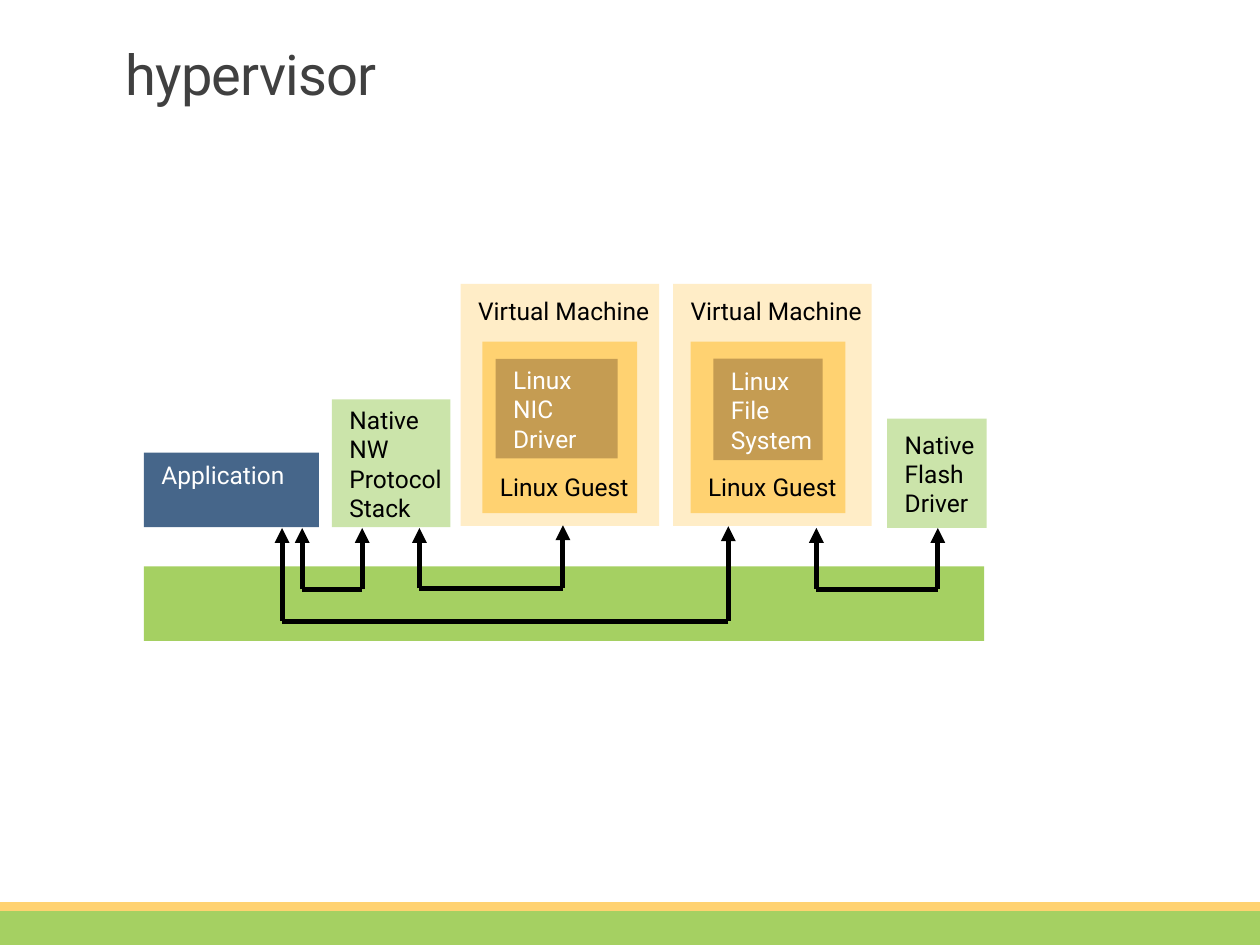
from dataclasses import dataclass

from lxml import etree
from pptx import Presentation
from pptx.dml.color import RGBColor
from pptx.enum import shapes, text
from pptx.oxml.ns import qn
from pptx.util import Pt


@dataclass(frozen=True)
class Theme:
    font: str = "Roboto"
    title_size: float = 32
    label_size: float = 14
    line_width: float = 2.83
    title: str = "404040"
    dark: str = "000000"
    light: str = "FFFFFF"
    green: str = "A5D062"
    pale_green: str = "CBE4AA"
    blue: str = "46668A"
    cream: str = "FFEDC7"
    yellow: str = "FFD271"
    brown: str = "C59C52"


THEME = Theme()
TOP, MIDDLE, BOTTOM = (
    text.MSO_ANCHOR.TOP, text.MSO_ANCHOR.MIDDLE, text.MSO_ANCHOR.BOTTOM)


def write_text(shape, lines, size=THEME.label_size, color=THEME.dark,
               anchor=MIDDLE, insets=(10, 7, 10, 6.5), wrap=False,
               line_spacing=None, tracking=None):
    frame = shape.text_frame
    frame.word_wrap = wrap
    frame.vertical_anchor = anchor
    (frame.margin_left, frame.margin_top,
     frame.margin_right, frame.margin_bottom) = map(Pt, insets)
    for index, line in enumerate(lines):
        paragraph = frame.add_paragraph() if index else frame.paragraphs[0]
        paragraph.alignment = text.PP_ALIGN.LEFT
        if line_spacing:
            paragraph.line_spacing = line_spacing
        run = paragraph.add_run()
        run.text = line
        run.font.name = THEME.font
        run.font.size = Pt(size)
        run.font.color.rgb = RGBColor.from_string(color)
        if tracking:
            run.font._element.set("spc", str(round(tracking * 100)))


def add_block(slide, box, fill, lines=(), **text_format):
    shape = slide.shapes.add_shape(
        shapes.MSO_SHAPE.RECTANGLE, *map(Pt, box))
    shape.shadow.inherit = False
    shape.fill.solid()
    shape.fill.fore_color.rgb = RGBColor.from_string(fill)
    shape.line.fill.background()
    if lines:
        write_text(shape, lines, **text_format)


def add_line(slide, start, end, arrow=False):
    connector = slide.shapes.add_connector(
        shapes.MSO_CONNECTOR.STRAIGHT, *map(Pt, (*start, *end)))
    connector.line.width = Pt(THEME.line_width)
    connector.line.color.rgb = RGBColor.from_string(THEME.dark)
    if arrow:
        etree.SubElement(connector.line._get_or_add_ln(), qn("a:tailEnd"),
                         type="triangle")
    etree.SubElement(connector._element.spPr, qn("a:effectLst"))


def add_title(slide, box):
    shape = slide.shapes.add_textbox(*map(Pt, box))
    write_text(shape, ["hypervisor"], size=THEME.title_size,
               color=THEME.title, insets=(7.2, 3.6, 7.2, 3.6), wrap=True,
               line_spacing=0.85, tracking=-0.5)


def add_footer(slide, box):
    left, top, width, height = box
    add_block(slide, (left, top + 4, width, height - 4), THEME.green)
    add_block(slide, (left, top, width, 5), THEME.yellow)


def add_virtual_machine(slide, box, guest_left, driver_box, driver_lines):
    left, top, _, _ = box
    driver_left, driver_top, driver_width, driver_height = driver_box
    add_block(slide, box, THEME.cream, ["Virtual Machine"], anchor=TOP)
    add_block(slide, (left + guest_left, top + 33, 88.5, 98), THEME.yellow,
              ["Linux Guest"], anchor=BOTTOM)
    add_block(slide, (left + driver_left, top + driver_top,
                      driver_width, driver_height),
              THEME.brown, driver_lines, color=THEME.light)


def add_channel(slide, first, second, bottom):
    for x, top in (first, second):
        add_line(slide, (x, bottom), (x, top), arrow=True)
    add_line(slide, (second[0], bottom), (first[0], bottom))


def add_diagram(slide, box):
    left, top, width, height = box
    add_block(slide, (left, top + 96.5, 100, 42.5), THEME.blue,
              ["Application"], color=THEME.light, anchor=TOP,
              insets=(10, 4.3, 10, 6.5))
    add_block(slide, (left + 107.5, top + 66, 67.7, 73), THEME.pale_green,
              ["Native", "NW", "Protocol", "Stack"])
    add_block(slide, (left + 424.8, top + 77, 56.8, 62.5), THEME.pale_green,
              ["Native", "Flash", "Driver"])
    add_virtual_machine(slide, (left + 181, top, 113.5, 138.3), 12.5,
                        (20, 42.8, 69.7, 57), ["Linux", "NIC", "Driver"])
    add_virtual_machine(slide, (left + 302.4, top, 113.5, 138.3), 10,
                        (23, 42.8, 62.5, 58), ["Linux", "File", "System"])
    add_block(slide, (left, top + height - 42.5, width, 42.5), THEME.green)

    channels = [
        ((79, 139.5), (334, 138.5), 192.7),
        ((384.3, 139.5), (453.7, 139.5), 174.5),
        ((157.5, 139.5), (239.5, 138), 174),
        ((90.5, 139.5), (124.8, 139.5), 174.5),
    ]
    for first, second, bottom in channels:
        ends = [(left + x, top + y) for x, y in (first, second)]
        add_channel(slide, *ends, top + bottom)


def main():
    presentation = Presentation()
    presentation.slide_width = Pt(720)
    presentation.slide_height = Pt(540)
    slide = presentation.slides.add_slide(presentation.slide_layouts[6])
    add_footer(slide, (0, 515.5, 720, 24.5))
    add_title(slide, (64.8, 25.2, 448, 39.6))
    add_diagram(slide, (82.2, 162.2, 480.2, 204))
    presentation.save("out.pptx")


if __name__ == "__main__":
    main()
